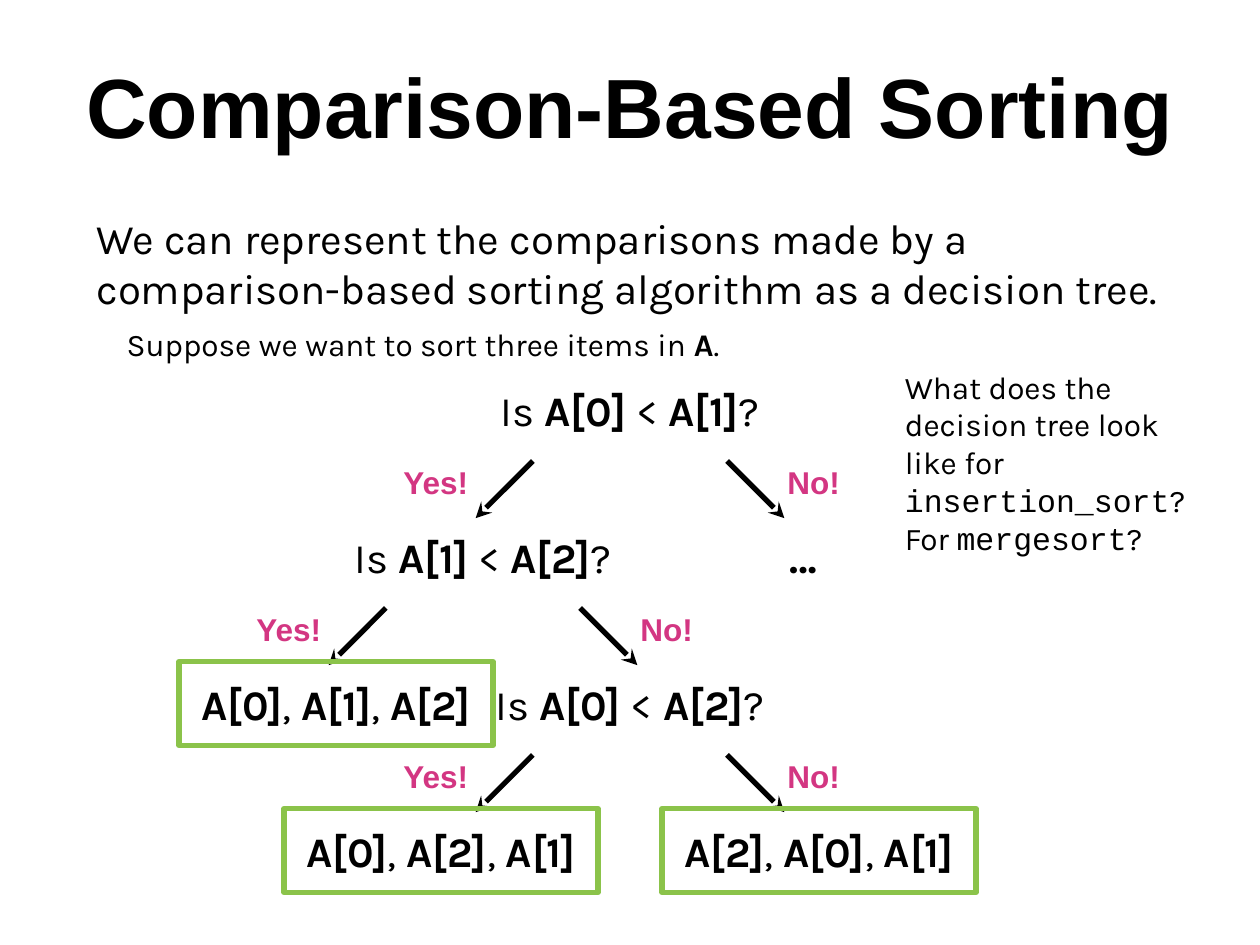
from dataclasses import dataclass

from lxml import etree
from pptx import Presentation
from pptx import util as u
from pptx.dml.color import RGBColor
from pptx.enum import shapes, text
from pptx.oxml.ns import qn

COLS, ROWS = 120, 90  # grid of the slide
NODE_W, NODE_H = 29.9, 8
TOP, STEP = 35, 14  # first tree level, and rows between levels


@dataclass(frozen=True)
class Theme:
    ink: str = "000000"
    answer: str = "D33682"
    leaf: str = "8BC34A"
    head: str = "Arial"
    main: str = "Karla"
    code: str = "Courier New"
    title: int = 48
    large: int = 24
    small: int = 18
    stroke: int = 3


def write(para, words, font, size, color, bold=False, mark="bold",
          align=text.PP_ALIGN.LEFT):
    """Add words to a paragraph; parts between asterisks are bold, or set in the font named by mark."""
    para.alignment = align
    for i, part in enumerate(words.split("*")):
        if not part:
            continue
        run = para.add_run()
        run.text = part
        face = run.font
        odd = i % 2 == 1
        face.name = mark if odd and mark != "bold" else font
        face.bold = bold or (odd and mark == "bold")
        face.size = u.Pt(size)
        face.color.rgb = RGBColor.from_string(color)


class Deck:
    def __init__(self, theme):
        self.theme = theme
        self.file = Presentation()
        self.file.slide_width, self.file.slide_height = u.Inches(10), u.Inches(7.5)
        self.slide = self.file.slides.add_slide(self.file.slide_layouts[5])
        self.items = self.slide.shapes

    def grid(self, x, y):
        return (round(x * self.file.slide_width / COLS),
                round(y * self.file.slide_height / ROWS))

    def frame(self, shape, anchor):
        box = shape.text_frame
        box.word_wrap = True
        box.auto_size = text.MSO_AUTO_SIZE.NONE
        box.vertical_anchor = anchor
        box.margin_left = box.margin_right = u.Inches(0.1)
        box.margin_top = box.margin_bottom = u.Inches(0.1)
        return box

    def title(self, words):
        t = self.theme
        shape = self.items.title
        shape.left, shape.top = self.grid(0, 4)
        shape.width, shape.height = self.grid(COLS, 15)
        box = self.frame(shape, text.MSO_ANCHOR.TOP)
        write(box.paragraphs[0], words, t.head, t.title, t.ink, bold=True,
              align=text.PP_ALIGN.CENTER)

    def text(self, x, y, w, h, anchor=text.MSO_ANCHOR.MIDDLE):
        shape = self.items.add_textbox(*self.grid(x, y), *self.grid(w, h))
        return self.frame(shape, anchor)

    def body(self, lead, sub):
        t = self.theme
        box = self.text(8, 19, 104, 71, text.MSO_ANCHOR.TOP)
        write(box.paragraphs[0], lead, t.main, t.large, t.ink)
        para = box.add_paragraph()
        para.space_before = u.Pt(7)
        para._p.get_or_add_pPr().set("marL", str(u.Inches(0.24)))
        write(para, sub, t.main, t.small, t.ink)

    def note(self, words):
        t = self.theme
        box = self.text(85, 33.4, 31.4, 21.2)
        write(box.paragraphs[0], words, t.main, t.small, t.ink, mark=t.code)

    def node(self, mid, level, words, leaf=False):
        t = self.theme
        spot = mid - NODE_W / 2, TOP + level * STEP, NODE_W, NODE_H
        if leaf:
            shape = self.items.add_shape(shapes.MSO_SHAPE.RECTANGLE,
                                         *self.grid(*spot[:2]), *self.grid(*spot[2:]))
            shape.shadow.inherit = False
            shape.fill.background()
            shape.line.color.rgb = RGBColor.from_string(t.leaf)
            shape.line.width = u.Pt(t.stroke)
            box = self.frame(shape, text.MSO_ANCHOR.MIDDLE)
        else:
            box = self.text(*spot)
        write(box.paragraphs[0], words, t.main, t.large, t.ink,
              align=text.PP_ALIGN.CENTER)

    def arrow(self, start, end):
        line = self.items.add_connector(shapes.MSO_CONNECTOR.STRAIGHT,
                                        *self.grid(*start), *self.grid(*end))
        line.line.color.rgb = RGBColor.from_string(self.theme.ink)
        line.line.width = u.Pt(self.theme.stroke)
        etree.SubElement(line.line._get_or_add_ln(), qn("a:tailEnd"), type="stealth")
        etree.SubElement(line._element.spPr, qn("a:effectLst"))

    def fork(self, mid, level):
        """Draw the Yes and No branches below a question."""
        t = self.theme
        top = TOP + level * STEP
        for side, words, shift in ((-1, "Yes!", -18.5), (1, "No!", 17.5)):
            self.arrow((mid + side * 9.25, top + 8.9), (mid + side * 14.7, top + 14.35))
            box = self.text(mid + shift - 7.8, top + 7.4, 15.6, 7)
            write(box.paragraphs[0], words, t.head, t.small, t.answer, bold=True,
                  align=text.PP_ALIGN.CENTER)


def main():
    deck = Deck(Theme())
    deck.title("Comparison-Based Sorting")
    deck.body("We can represent the comparisons made by a comparison-based "
              "sorting algorithm as a decision tree.",
              "Suppose we want to sort three items in *A*.")
    asks = ((60, 0, 0, 1), (46, 1, 1, 2), (60, 2, 0, 2))
    for mid, level, a, b in asks:
        deck.node(mid, level, f"Is *A[{a}]* < *A[{b}]*?")
        deck.fork(mid, level)
    leaves = ((32, 2, (0, 1, 2)), (42, 3, (0, 2, 1)), (78, 3, (2, 0, 1)))
    for mid, level, order in leaves:
        deck.node(mid, level, ", ".join(f"*A[{i}]*" for i in order), leaf=True)
    deck.node(76.5, 1, "*…*")
    deck.note("What does the decision tree look like for *insertion_sort*? "
              "For *mergesort*?")
    deck.file.save("out.pptx")


if __name__ == "__main__":
    main()
